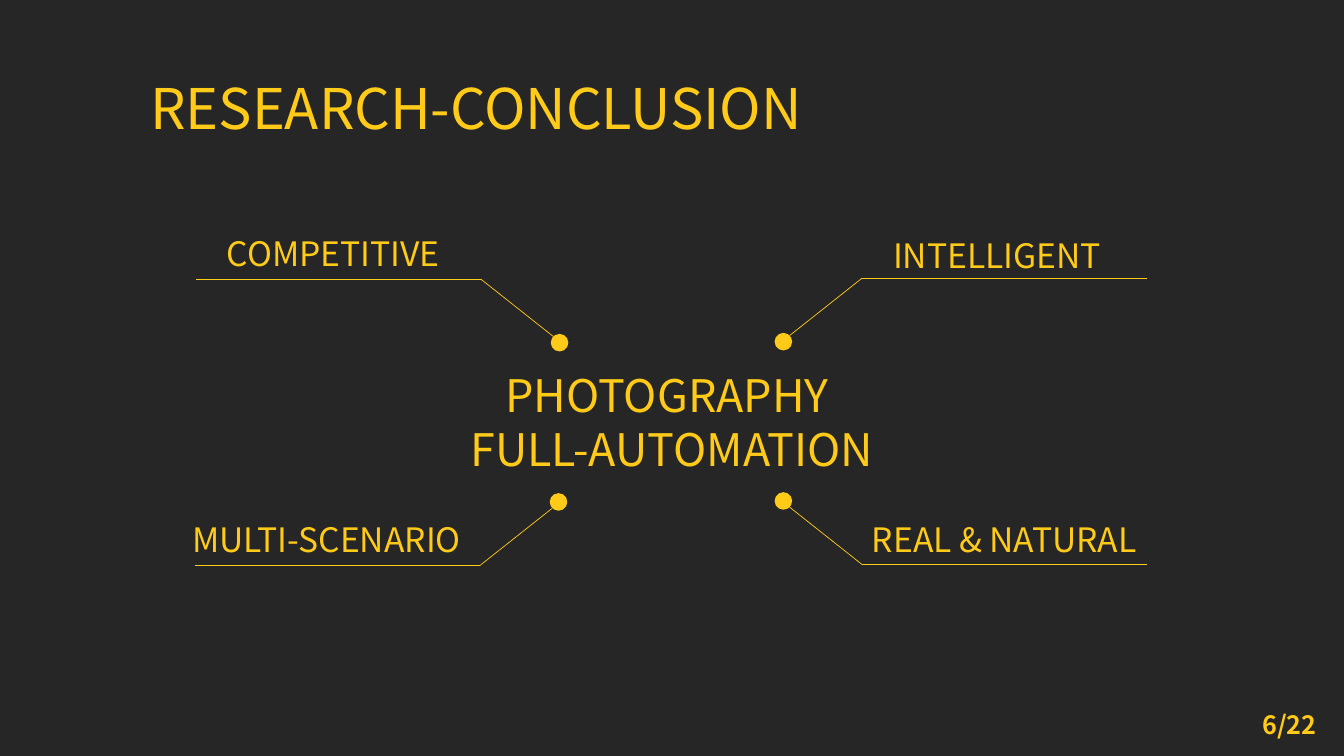
from dataclasses import dataclass

from lxml.etree import SubElement
from pptx import Presentation
from pptx.dml.color import RGBColor
from pptx.enum.shapes import MSO_CONNECTOR, MSO_SHAPE
from pptx.enum.text import MSO_ANCHOR, MSO_AUTO_SIZE, PP_ALIGN
from pptx.oxml.ns import qn
from pptx.shapes.shapetree import GroupShapes, SlideShapes
from pptx.text.text import Font
from pptx.util import Inches, Pt

YELLOW = RGBColor(0xFF, 0xCA, 0x18)
CHARCOAL = RGBColor(0x26, 0x26, 0x26)
FONT_NAME = "Noto Sans CJK SC"

DOT_SIZE = 0.16
LINE_START = 0.06
ELBOW_ACROSS = 0.78
ELBOW_DOWN = 0.63
UNDERLINE_LENGTH = 2.83


@dataclass(frozen=True)
class Box:
    left: float
    top: float
    width: float
    height: float

    def lengths(self) -> tuple:
        return tuple(Inches(v) for v in (self.left, self.top, self.width, self.height))


@dataclass(frozen=True)
class Callout:
    """A label whose line runs from a dot towards one corner of the slide."""
    label: str
    label_box: Box
    dot_x: float
    dot_y: float
    across: int
    down: int


CALLOUTS = [
    Callout("COMPETITIVE", Box(2.15, 2.26, 2.41, 0.5), 5.55, 3.4, -1, -1),
    Callout("MULTI-SCENARIO", Box(1.81, 5.1, 3.08, 0.5), 5.54, 4.98, -1, 1),
    Callout("INTELLIGENT", Box(8.76, 2.28, 2.3, 0.5), 7.77, 3.39, 1, -1),
    Callout("REAL & NATURAL", Box(8.55, 5.1, 3.17, 0.5), 7.77, 4.97, 1, 1),
]


def style_font(font: Font, size: int, bold: bool = False) -> None:
    font.name = FONT_NAME
    font.size = Pt(size)
    font.bold = bold
    font.color.rgb = YELLOW


def add_text(shapes: SlideShapes | GroupShapes, lines: list[str], box: Box, size: int,
             alignment: PP_ALIGN = PP_ALIGN.LEFT, bold: bool = False) -> None:
    text_frame = shapes.add_textbox(*box.lengths()).text_frame
    text_frame.text = "\n".join(lines)
    text_frame.word_wrap = False
    text_frame.auto_size = MSO_AUTO_SIZE.SHAPE_TO_FIT_TEXT
    for paragraph in text_frame.paragraphs:
        paragraph.alignment = alignment
        style_font(paragraph.font, size, bold)


def add_line(shapes: GroupShapes, start: tuple[float, float],
             end: tuple[float, float]) -> None:
    connector = shapes.add_connector(
        MSO_CONNECTOR.STRAIGHT, *(Inches(value) for value in (*start, *end)))
    connector.line.color.rgb = YELLOW
    connector.line.width = Pt(0.5)
    SubElement(connector._element.spPr, qn("a:effectLst"))


def add_callout(shapes: SlideShapes, callout: Callout) -> None:
    group = shapes.add_group_shape().shapes
    dot_box = Box(callout.dot_x - DOT_SIZE / 2, callout.dot_y - DOT_SIZE / 2,
                  DOT_SIZE, DOT_SIZE)
    dot = group.add_shape(MSO_SHAPE.OVAL, *dot_box.lengths())
    dot.shadow.inherit = False
    dot.fill.solid()
    dot.fill.fore_color.rgb = YELLOW
    dot.line.color.rgb = YELLOW
    dot.line.width = Pt(1)

    start = (callout.dot_x + callout.across * LINE_START,
             callout.dot_y + callout.down * LINE_START)
    elbow = (callout.dot_x + callout.across * ELBOW_ACROSS,
             callout.dot_y + callout.down * ELBOW_DOWN)
    end = (elbow[0] + callout.across * UNDERLINE_LENGTH, elbow[1])
    add_line(group, start, elbow)
    add_line(group, elbow, end)
    add_text(group, [callout.label], callout.label_box, 24)


def main() -> None:
    presentation = Presentation()
    presentation.slide_width = Inches(13.33)
    presentation.slide_height = Inches(7.5)
    slide = presentation.slides.add_slide(presentation.slide_layouts.get_by_name("Title Only"))
    slide.background.fill.solid()
    slide.background.fill.fore_color.rgb = CHARCOAL

    title = slide.shapes.title
    title.left, title.top, title.width, title.height = Box(0.92, 0.38, 11.5, 1.45).lengths()
    title.text_frame.text = "RESEARCH-CONCLUSION"
    title.text_frame.vertical_anchor = MSO_ANCHOR.MIDDLE
    title.text_frame.margin_left = Inches(0.57)
    paragraph = title.text_frame.paragraphs[0]
    paragraph.alignment = PP_ALIGN.LEFT
    paragraph.line_spacing = 0.9
    style_font(paragraph.font, 40)

    add_text(slide.shapes, ["PHOTOGRAPHY ", "FULL-AUTOMATION"],
             Box(4.41, 3.6, 4.51, 1.18), 32, PP_ALIGN.CENTER)
    for callout in CALLOUTS:
        add_callout(slide.shapes, callout)
    add_text(slide.shapes, ["6/22"], Box(12.42, 6.99, 0.79, 0.4), 18, bold=True)

    presentation.save("out.pptx")


if __name__ == "__main__":
    main()
